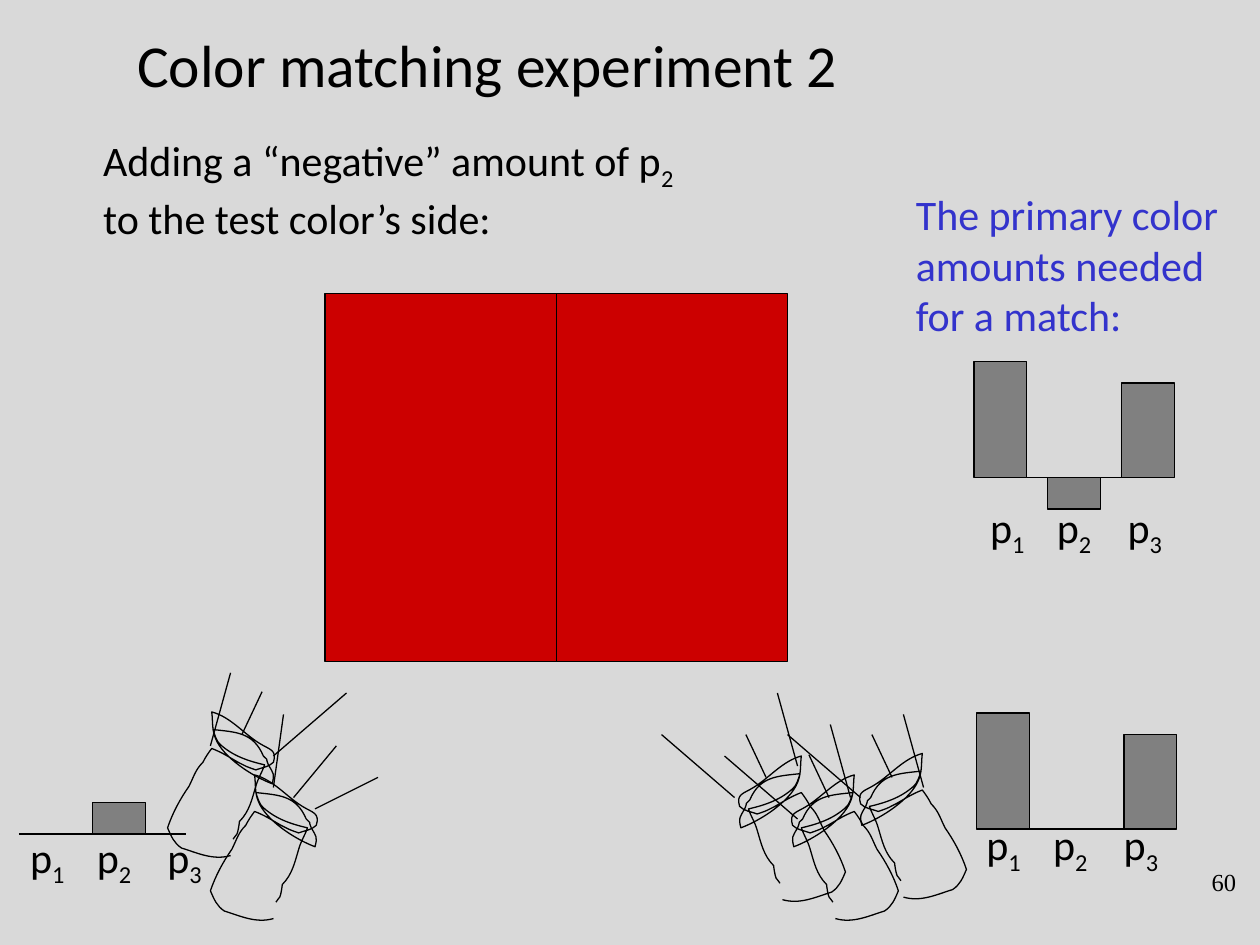
from dataclasses import dataclass
from itertools import chain

from lxml import etree
from pptx import Presentation
from pptx.dml.color import RGBColor
from pptx.enum.shapes import MSO_CONNECTOR, MSO_SHAPE
from pptx.enum.text import MSO_ANCHOR, PP_ALIGN
from pptx.oxml.ns import qn
from pptx.util import Cm, Pt

STRAIGHT = MSO_CONNECTOR.STRAIGHT
RECTANGLE = MSO_SHAPE.RECTANGLE
TOP, MIDDLE = MSO_ANCHOR.TOP, MSO_ANCHOR.MIDDLE
LEFT, RIGHT = PP_ALIGN.LEFT, PP_ALIGN.RIGHT


@dataclass(frozen=True)
class Theme:
    background: str = "D9D9D9"
    ink: str = "000000"
    accent: str = "3333CC"
    light: str = "CC0000"
    bar: str = "808080"
    font: str = "Calibri"
    number_font: str = "Times New Roman"
    title_size: int = 34
    body_size: int = 24
    number_size: int = 14
    stroke: float = 0.75


@dataclass(frozen=True)
class Box:
    left: float
    top: float
    width: float
    height: float


THEME = Theme()
LAMP_WIDTH, LAMP_HEIGHT = 0.87, 1.18
LAMP_START = (0.50, 1.14)
LAMP_CURVES = [
    ((0.36, 1.18), (0.24, 1.12), (0.11, 1.08)),
    ((0.05, 1.04), (0.03, 0.99), (0, 0.92)),
    ((0.04, 0.80), (0.10, 0.69), (0.17, 0.59)),
    ((0.21, 0.51), (0.22, 0.46), (0.28, 0.40)),
    ((0.30, 0.36), (0.32, 0.33), (0.35, 0.29)),
    ((0.43, 0.32), (0.49, 0.36), (0.56, 0.40)),
    ((0.58, 0.41), (0.60, 0.42), (0.62, 0.43)),
    ((0.64, 0.44), (0.70, 0.46), (0.70, 0.46)),
    ((0.75, 0.44), (0.80, 0.44), (0.84, 0.40)),
    ((0.87, 0.30), (0.81, 0.30), (0.73, 0.25)),
    ((0.60, 0.17), (0.50, 0.04), (0.35, 0)),
    ((0.36, 0.07), (0.35, 0.14), (0.38, 0.21)),
    ((0.44, 0.36), (0.67, 0.51), (0.83, 0.57)),
    ((0.85, 0.49), (0.84, 0.49), (0.80, 0.42)),
    ((0.77, 0.35), (0.81, 0.40), (0.76, 0.35)),
    ((0.68, 0.16), (0.54, 0.16), (0.36, 0.14)),
    ((0.37, 0.17), (0.39, 0.24), (0.42, 0.26)),
    ((0.52, 0.35), (0.64, 0.39), (0.77, 0.42)),
    ((0.75, 0.48), (0.72, 0.52), (0.70, 0.59)),
    ((0.67, 0.69), (0.65, 0.79), (0.57, 0.87)),
    ((0.57, 0.88), (0.56, 0.95), (0.55, 0.97)),
    ((0.54, 0.98), (0.52, 1.01), (0.52, 1.01)),
]
WIDE_REACH = [(0.58, -0.5), (0.16, -0.34), (0.16, -0.58)]
TIGHT_REACH = [(0.08, -0.58), (0.34, -0.41), (0.5, -0.25)]


def length(inches):
    return Cm(inches * 2.54)


def add_text(page, box, spans, *, size=THEME.body_size, color=THEME.ink,
             font=THEME.font, align=LEFT, anchor=TOP, tabs=()):
    frame = page.shapes.add_textbox(
        length(box.left), length(box.top), length(box.width), length(box.height)
    ).text_frame
    frame.word_wrap = True
    frame.vertical_anchor = anchor
    para = frame.paragraphs[0]
    para.alignment = align
    if tabs:
        stops = etree.SubElement(para._p.get_or_add_pPr(), qn("a:tabLst"))
        for stop in tabs:
            etree.SubElement(stops, qn("a:tab"), pos=str(length(stop)), algn="l")
    for text, lowered in spans:
        span = para.add_run()
        span.text = text
        span.font.size = Pt(size)
        span.font.name = font
        span.font.color.rgb = RGBColor.from_string(color)
        if lowered:
            span._r.get_or_add_rPr().set("baseline", "-25000")


def add_stroke(shape):
    shape.line.color.rgb = RGBColor.from_string(THEME.ink)
    shape.line.width = Pt(THEME.stroke)


def add_block(page, box, color):
    block = page.shapes.add_shape(
        RECTANGLE, length(box.left), length(box.top),
        length(box.width), length(box.height))
    block.shadow.inherit = False
    block.fill.solid()
    block.fill.fore_color.rgb = RGBColor.from_string(color)
    add_stroke(block)


def add_line(page, start, end):
    line = page.shapes.add_connector(STRAIGHT, *map(length, (*start, *end)))
    add_stroke(line)
    etree.SubElement(line._element.spPr, qn("a:effectLst"))


def bend_segments(outline):
    segments = list(outline._element.iter(qn("a:lnTo")))
    for index in range(0, len(segments), 3):
        trio = segments[index:index + 3]
        curve = etree.Element(qn("a:cubicBezTo"))
        trio[0].addprevious(curve)
        for segment in trio:
            curve.append(segment[0])
            segment.getparent().remove(segment)


def add_lamp(page, box, beams, reaches, mirrored=False):
    def place(x, y):
        return box.left + (box.width - x if mirrored else x), box.top + y

    def turn(x, y):
        return tuple(map(length, place(box.width - x, box.height - y)))

    builder = page.shapes.build_freeform(*turn(*LAMP_START))
    builder.add_line_segments(
        [turn(*point) for point in chain.from_iterable(LAMP_CURVES)], close=False)
    lamp = builder.convert_to_shape()
    bend_segments(lamp)
    lamp.rotation = 180
    lamp.shadow.inherit = False
    lamp.fill.background()
    add_stroke(lamp)
    for (x, y), (across, up) in zip(beams, reaches):
        add_line(page, place(x, y), place(x + across, y + up))


def add_color_field(page, box):
    half = box.width / 2
    for side in range(2):
        add_block(page, Box(box.left + side * half, box.top, half, box.height), THEME.light)


def add_amounts(page, box, amounts, label_left, label_top):
    axis = box.top + box.height
    bar_width, pitch = 0.42, 0.585
    add_line(page, (box.left, axis), (box.left + box.width, axis))
    for index, amount in enumerate(amounts):
        if amount:
            add_block(page, Box(box.left + index * pitch, axis - max(amount, 0),
                                bar_width, abs(amount)), THEME.bar)
    labels = [("p", False), ("1", True), ("\tp", False), ("2", True),
              ("\tp", False), ("3", True)]
    add_text(page, Box(label_left, label_top, 1.78, 0.5), labels, tabs=(0.53, 1.09))


def add_headings(page):
    add_text(page, Box(0.99, 0.17, 8.03, 0.67), [("Color matching experiment 2", False)],
             size=THEME.title_size, anchor=MIDDLE)
    add_text(page, Box(0.72, 1.02, 5.08, 0.91),
             [("Adding a “negative” amount of p", False), ("2", True),
              (" to the test color’s side:", False)])
    add_text(page, Box(7.17, 1.45, 2.75, 1.31),
             [("The primary color amounts needed for a match:", False)],
             color=THEME.accent)
    add_text(page, Box(7.83, 6.83, 2.08, 0.5), [("60", False)],
             size=THEME.number_size, font=THEME.number_font, align=RIGHT)


def main():
    deck = Presentation()
    deck.slide_width, deck.slide_height = length(10), length(7.5)
    page = deck.slides.add_slide(deck.slide_layouts[6])
    page.background.fill.solid()
    page.background.fill.fore_color.rgb = RGBColor.from_string(THEME.background)

    add_headings(page)
    add_color_field(page, Box(2.58, 2.33, 3.67, 2.92))
    lamps = [
        (1.33, 5.65, [(0.84, 0.35), (0.59, 0.18), (0.34, 0.27)], WIDE_REACH, False),
        (1.67, 6.15, [(0.5, 0.1), (0.66, 0.18), (0.83, 0.27)], TIGHT_REACH, False),
        (5.84, 6.0, [(0.88, 0.33), (0.63, 0.17), (0.38, 0.08)], WIDE_REACH, True),
        (6.26, 6.15, [(0.8, 0.35), (0.55, 0.18), (0.38, 0.18)], WIDE_REACH, True),
        (6.8, 5.98, [(0.84, 0.35), (0.59, 0.19), (0.34, 0.27)], WIDE_REACH, True),
    ]
    for left, top, beams, reaches, mirrored in lamps:
        add_lamp(page, Box(left, top, LAMP_WIDTH, LAMP_HEIGHT), beams, reaches, mirrored)
    add_amounts(page, Box(7.73, 2.87, 1.33, 0.92), (0.92, -0.25, 0.75), 7.76, 3.93)
    add_amounts(page, Box(7.75, 5.66, 1.33, 0.92), (0.92, 0, 0.75), 7.73, 6.45)
    add_amounts(page, Box(0.15, 5.7, 1.33, 0.92), (0, 0.25, 0), 0.14, 6.55)
    deck.save("out.pptx")


if __name__ == "__main__":
    main()
